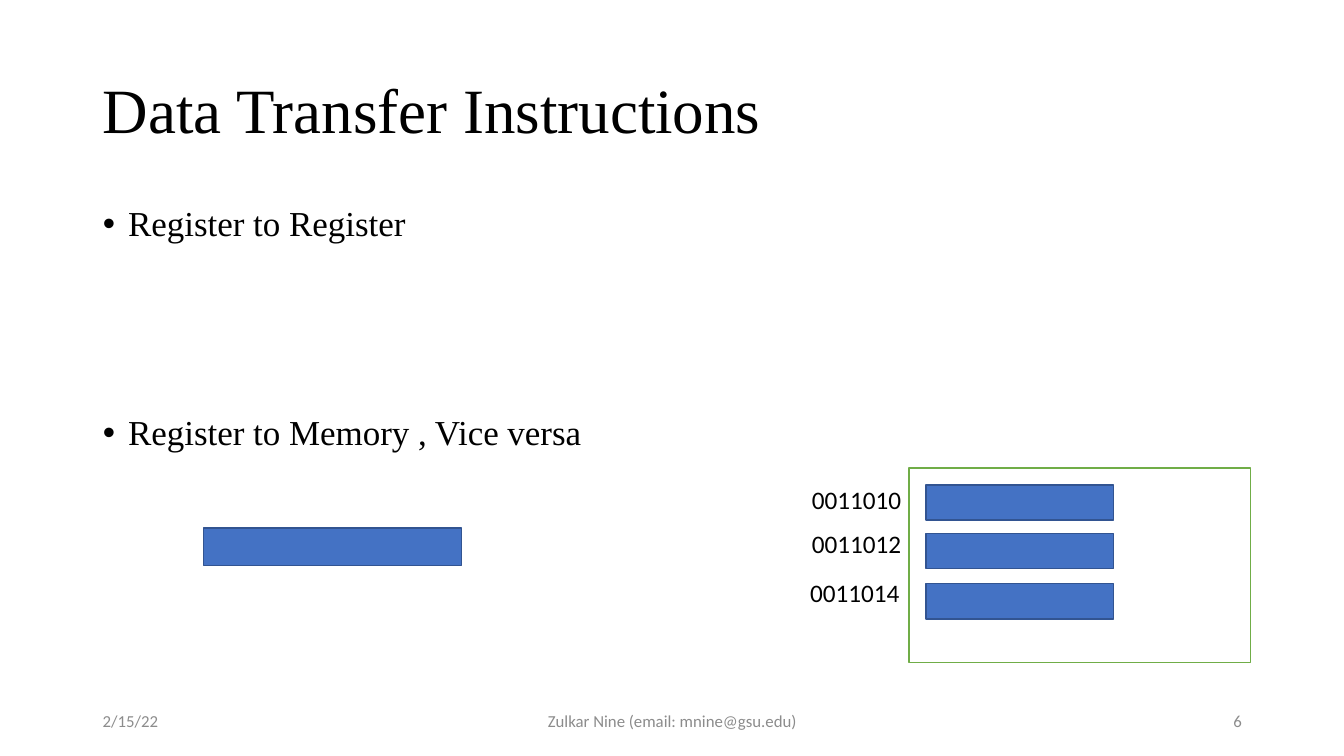
from dataclasses import dataclass

from pptx import Presentation
from pptx.dml.color import RGBColor
from pptx.enum.shapes import MSO_SHAPE
from pptx.enum.text import MSO_ANCHOR, MSO_AUTO_SIZE, PP_ALIGN
from pptx.util import Cm, Pt

RECT = MSO_SHAPE.RECTANGLE
MIDDLE, TOP = MSO_ANCHOR.MIDDLE, MSO_ANCHOR.TOP
NO_FIT = MSO_AUTO_SIZE.NONE
LEFT, CENTER, RIGHT = PP_ALIGN.LEFT, PP_ALIGN.CENTER, PP_ALIGN.RIGHT


@dataclass(frozen=True)
class Theme:
    serif: str = "Times New Roman"
    sans: str = "Calibri"
    ink: str = "000000"
    muted: str = "8C8C8C"
    paper: str = "FFFFFF"
    register: str = "4472C4"
    register_edge: str = "325491"
    memory_edge: str = "70AD47"
    title: int = 45
    body: int = 25
    label: int = 18
    footer: int = 12


THEME = Theme()
MARGIN, CONTENT_W = 2.34, 29.21


def place(sp, box):
    sp.left, sp.top, sp.width, sp.height = (Cm(v) for v in box)


def write(p, text, *, size, font=THEME.sans, color=THEME.ink, align=LEFT,
          line=None, before=None):
    """Fill one paragraph with formatted text."""
    p.alignment = align
    if line is not None:
        p.line_spacing = line
    if before is not None:
        p.space_before = Pt(before)
    r = p.add_run()
    r.text = text
    r.font.size = Pt(size)
    r.font.name = font
    r.font.color.rgb = RGBColor.from_string(color)


def set_frame(tf, anchor):
    tf.word_wrap = True
    tf.auto_size = NO_FIT
    tf.vertical_anchor = anchor


def add_text(slide, box, text, **fmt):
    tf = slide.shapes.add_textbox(*(Cm(v) for v in box)).text_frame
    set_frame(tf, MIDDLE)
    tf.margin_top = tf.margin_bottom = 0
    write(tf.paragraphs[0], text, **fmt)


def add_rect(slide, box, fill, edge):
    sp = slide.shapes.add_shape(RECT, *(Cm(v) for v in box))
    sp.shadow.inherit = False
    sp.fill.solid()
    sp.fill.fore_color.rgb = RGBColor.from_string(fill)
    sp.line.color.rgb = RGBColor.from_string(edge)
    sp.line.width = Pt(1)


def add_title(slide, box, text):
    sp = slide.shapes.title
    place(sp, box)
    set_frame(sp.text_frame, MIDDLE)
    write(sp.text_frame.paragraphs[0], text, size=THEME.title,
          font=THEME.serif, line=0.9)


def add_bullets(slide, box, items):
    """items: (text, space before in points)."""
    sp = slide.placeholders[1]
    place(sp, box)
    tf = sp.text_frame
    set_frame(tf, TOP)
    for i, (text, before) in enumerate(items):
        p = tf.add_paragraph() if i else tf.paragraphs[0]
        write(p, text, size=THEME.body, font=THEME.serif, line=0.9, before=before)
        pPr = p._p.get_or_add_pPr()
        pPr.set("marL", str(Cm(0.635)))
        pPr.set("indent", str(-Cm(0.635)))


def add_footer(slide, box, date, author, number):
    x, y, w, h = box
    side, mid = 7.62, 11.43
    parts = ((x, side, date, LEFT),
             (x + (w - mid) / 2, mid, author, CENTER),
             (x + w - side, side, number, RIGHT))
    for left, width, text, align in parts:
        add_text(slide, (left, y, width, h), text, size=THEME.footer,
                 color=THEME.muted, align=align)


def add_memory(slide, box, rows):
    """rows: (address, cell offset, label offset, label shift)."""
    x, y, w, h = box
    cell_w, cell_h = 4.72, 0.89
    add_rect(slide, box, THEME.paper, THEME.memory_edge)
    for address, cell_dy, label_dy, shift in rows:
        add_rect(slide, (x + 0.43, y + cell_dy, cell_w, cell_h),
                 THEME.register, THEME.register_edge)
        add_text(slide, (x - 3.68 + shift, y + label_dy, cell_w, cell_h), address,
                 size=THEME.label, align=CENTER)


def main():
    prs = Presentation()
    prs.slide_width, prs.slide_height = Cm(33.87), Cm(19.05)
    slide = prs.slides.add_slide(prs.slide_layouts[1])

    # Heading and list
    add_title(slide, (MARGIN, 1.02, CONTENT_W, 3.68), "Data Transfer Instructions")
    add_bullets(slide, (MARGIN, 5.08, CONTENT_W, 12.09),
                [("Register to Register", 10),
                 ("Register to Memory , Vice versa", 122)])

    # Footer line
    add_footer(slide, (MARGIN, 17.65, CONTENT_W, 1.02), "2/15/22",
               "Zulkar Nine (email: mnine@gsu.edu)", "6")

    # Register and memory diagram
    add_rect(slide, (5.13, 13.31, 6.5, 0.94), THEME.register, THEME.register_edge)
    add_memory(slide, (22.91, 11.79, 8.61, 4.9),
               [("0011010", 0.43, 0.36, 0),
                ("0011012", 1.65, 1.45, 0),
                ("0011014", 2.92, 2.69, -0.05)])

    prs.save("out.pptx")


if __name__ == "__main__":
    main()
